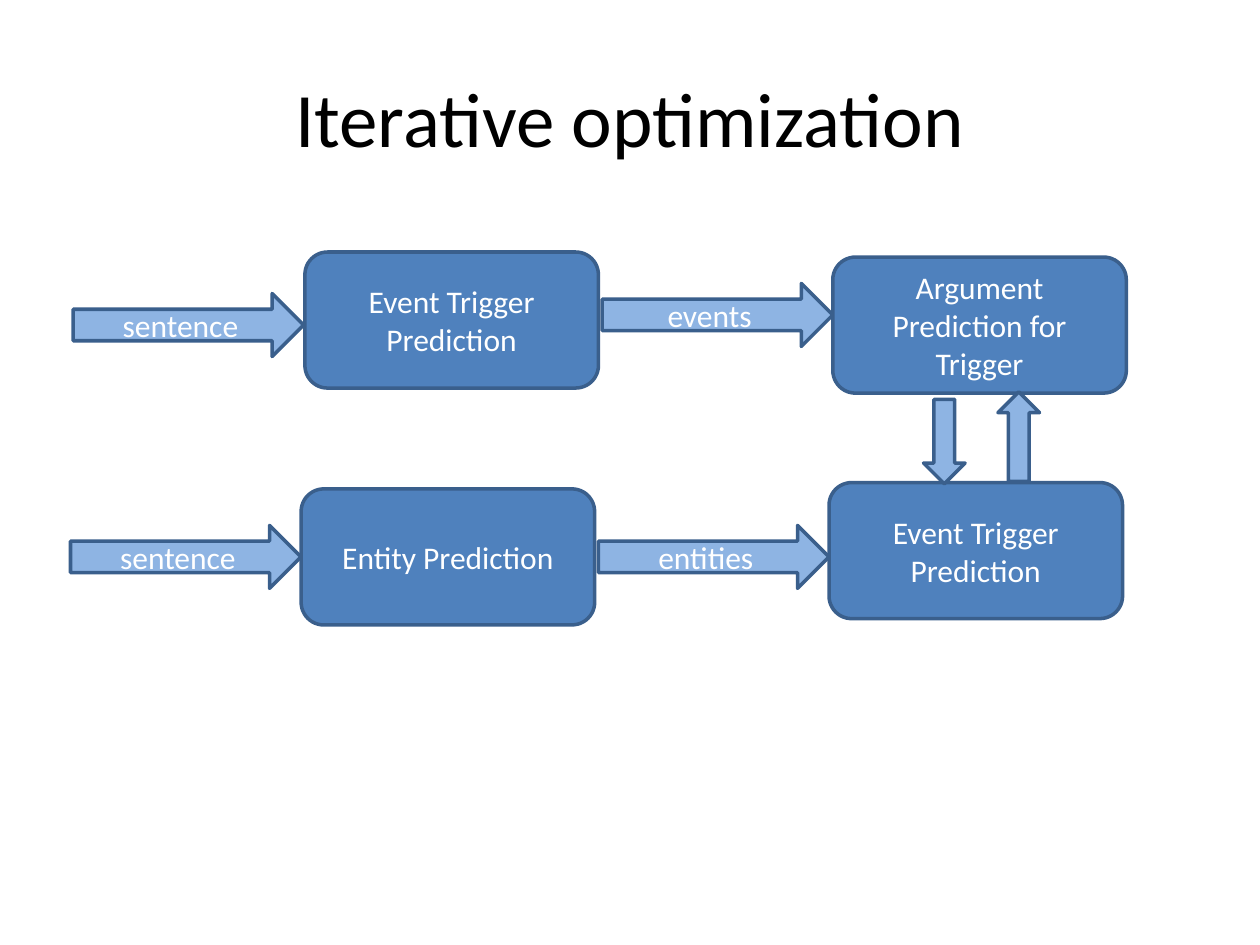
from pptx import Presentation
from pptx.dml.color import RGBColor
from pptx.enum.shapes import MSO_SHAPE as Shape
from pptx.enum.text import MSO_ANCHOR as Anchor, PP_ALIGN as Align
from pptx.util import Inches, Pt

FONT = "Calibri"
BLUE, LIGHT, EDGE = "4F81BD", "8EB4E3", "3A5F8C"


def color(code):
    return RGBColor.from_string(code)


def write(shape, text, size=18, ink="FFFFFF"):
    frame = shape.text_frame
    frame.word_wrap = True
    frame.vertical_anchor = Anchor.MIDDLE
    para = frame.paragraphs[0]
    para.alignment = Align.CENTER
    run = para.add_run()
    run.text = text
    run.font.name = FONT
    run.font.size = Pt(size)
    run.font.color.rgb = color(ink)


def add_title(slide, text):
    box = slide.shapes.add_textbox(
        Inches(0.5), Inches(0.3), Inches(9), Inches(1.25))
    write(box, text, size=44, ink="000000")


def add_part(slide, kind, x, y, w, h, fill, text=""):
    part = slide.shapes.add_shape(
        kind, Inches(x), Inches(y), Inches(w), Inches(h))
    part.shadow.inherit = False
    part.fill.solid()
    part.fill.fore_color.rgb = color(fill)
    part.line.color.rgb = color(EDGE)
    part.line.width = Pt(2)
    if text:
        write(part, text)
    return part


def add_step(slide, x, y, text):
    add_part(slide, Shape.ROUNDED_RECTANGLE, x, y, 2.33, 1.08, BLUE, text)


def add_flow(slide, x, y, text):
    add_part(slide, Shape.RIGHT_ARROW, x, y, 1.83, 0.5, LIGHT, text)


def add_loop(slide, x, y, h, turn=0):
    arrow = add_part(slide, Shape.DOWN_ARROW, x, y, 0.33, h, LIGHT)
    arrow.rotation = turn


def main():
    deck = Presentation()
    deck.slide_width, deck.slide_height = Inches(10), Inches(7.5)
    slide = deck.slides.add_slide(deck.slide_layouts[6])
    add_title(slide, "Iterative optimization")

    # Upper row: from sentence to arguments
    add_step(slide, 2.42, 2, "Event Trigger Prediction")
    add_flow(slide, 0.58, 2.33, "sentence")
    add_flow(slide, 4.78, 2.25, "events")
    add_step(slide, 6.61, 2.04, "Argument Prediction for Trigger")

    # Lower row: from sentence to triggers
    add_step(slide, 2.39, 3.88, "Entity Prediction")
    add_flow(slide, 0.56, 4.17, "sentence")
    add_flow(slide, 4.75, 4.17, "entities")
    add_step(slide, 6.58, 3.83, "Event Trigger Prediction")

    # Loop between the two last steps
    add_loop(slide, 7.33, 3.17, 0.67)
    add_loop(slide, 7.92, 3.11, 0.71, turn=180)

    deck.save("out.pptx")


if __name__ == "__main__":
    main()
